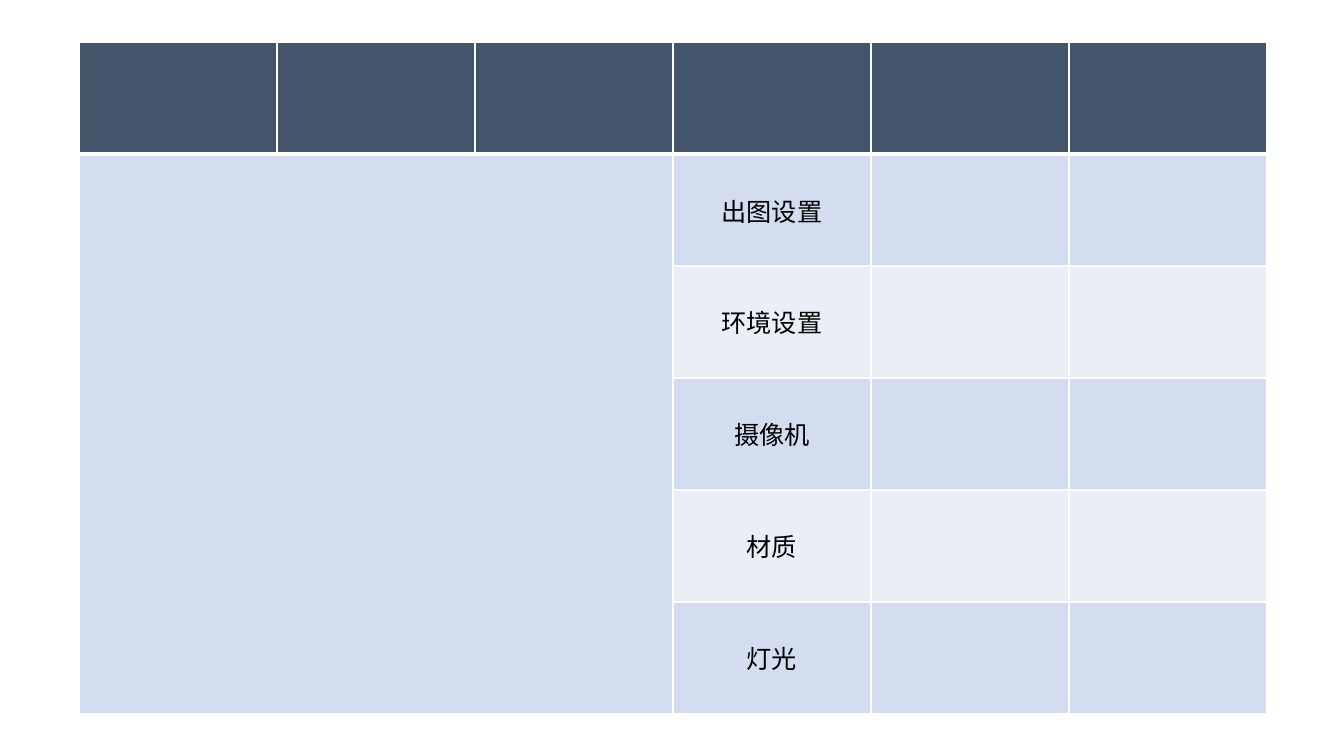
"""Build a slide with a table of rendering topics."""
from dataclasses import dataclass

from lxml.etree import SubElement
from pptx import Presentation
from pptx.dml.color import RGBColor
from pptx.enum.text import MSO_ANCHOR, PP_ALIGN
from pptx.oxml.ns import qn
from pptx.table import _Cell
from pptx.util import Emu, Pt

SLIDE_WIDTH, SLIDE_HEIGHT = 1344, 756
TABLE_LEFT, TABLE_TOP = 79, 42
COLUMN_WIDTH, ROW_HEIGHT = 198, 112
COLUMN_COUNT = 6
TOPIC_COLUMN = 3
FONT_NAME = "Calibri"
FONT_SIZE = 18
THIN, THICK = 1, 3
WHITE = RGBColor(0xFF, 0xFF, 0xFF)
BLACK = RGBColor(0x00, 0x00, 0x00)
HEADER = RGBColor(0x44, 0x54, 0x6A)
DARK_BAND = RGBColor(0xD2, 0xDE, 0xEF)
LIGHT_BAND = RGBColor(0xEA, 0xEF, 0xF7)


@dataclass(frozen=True)
class TableRow:
    topic: str
    fill: RGBColor
    top_border: int = THIN
    bottom_border: int = THIN


ROWS = [
    TableRow("", HEADER, bottom_border=THICK),
    TableRow("出图设置", DARK_BAND, top_border=THICK),
    TableRow("环境设置", LIGHT_BAND),
    TableRow("摄像机", DARK_BAND),
    TableRow("材质", LIGHT_BAND),
    TableRow("灯光", DARK_BAND),
]


def pixels(count: int) -> Emu:
    """Convert whole pixels to EMU."""
    return Emu(round(count * 914400 / 100.8))


def add_border(cell: _Cell, side: str, width: int) -> None:
    """Draw a white border on one side of a cell."""
    properties = cell._tc.get_or_add_tcPr()
    line = SubElement(properties, qn(f"a:ln{side}"), w=str(Pt(width)))
    SubElement(SubElement(line, qn("a:solidFill")), qn("a:srgbClr"), val=str(WHITE))


def format_cell(cell: _Cell, row: TableRow, fill: RGBColor) -> None:
    """Give a cell its borders, fill and anchor."""
    borders = {"L": THIN, "R": THIN, "T": row.top_border, "B": row.bottom_border}
    for side, width in borders.items():
        add_border(cell, side, width)
    cell.fill.solid()
    cell.fill.fore_color.rgb = fill
    cell.vertical_anchor = MSO_ANCHOR.MIDDLE


def write_topic(cell: _Cell, topic: str) -> None:
    """Write a centred topic into a cell."""
    paragraph = cell.text_frame.paragraphs[0]
    paragraph.text = topic
    paragraph.alignment = PP_ALIGN.CENTER
    for run in paragraph.runs:
        run.font.name = FONT_NAME
        run.font.size = Pt(FONT_SIZE)
        run.font.color.rgb = BLACK


presentation = Presentation()
presentation.slide_width = pixels(SLIDE_WIDTH)
presentation.slide_height = pixels(SLIDE_HEIGHT)
slide = presentation.slides.add_slide(presentation.slide_layouts[6])

table = slide.shapes.add_table(
    len(ROWS), COLUMN_COUNT, pixels(TABLE_LEFT), pixels(TABLE_TOP),
    pixels(COLUMN_WIDTH * COLUMN_COUNT), pixels(ROW_HEIGHT * len(ROWS)),
).table
for table_column in table.columns:
    table_column.width = pixels(COLUMN_WIDTH)

for row_index, row in enumerate(ROWS):
    table.rows[row_index].height = pixels(ROW_HEIGHT)
    for column_index in range(COLUMN_COUNT):
        in_merged_area = row_index > 0 and column_index < TOPIC_COLUMN
        fill = DARK_BAND if in_merged_area else row.fill
        format_cell(table.cell(row_index, column_index), row, fill)
    if row.topic:
        write_topic(table.cell(row_index, TOPIC_COLUMN), row.topic)

table.cell(1, 0).merge(table.cell(len(ROWS) - 1, TOPIC_COLUMN - 1))
presentation.save("out.pptx")
